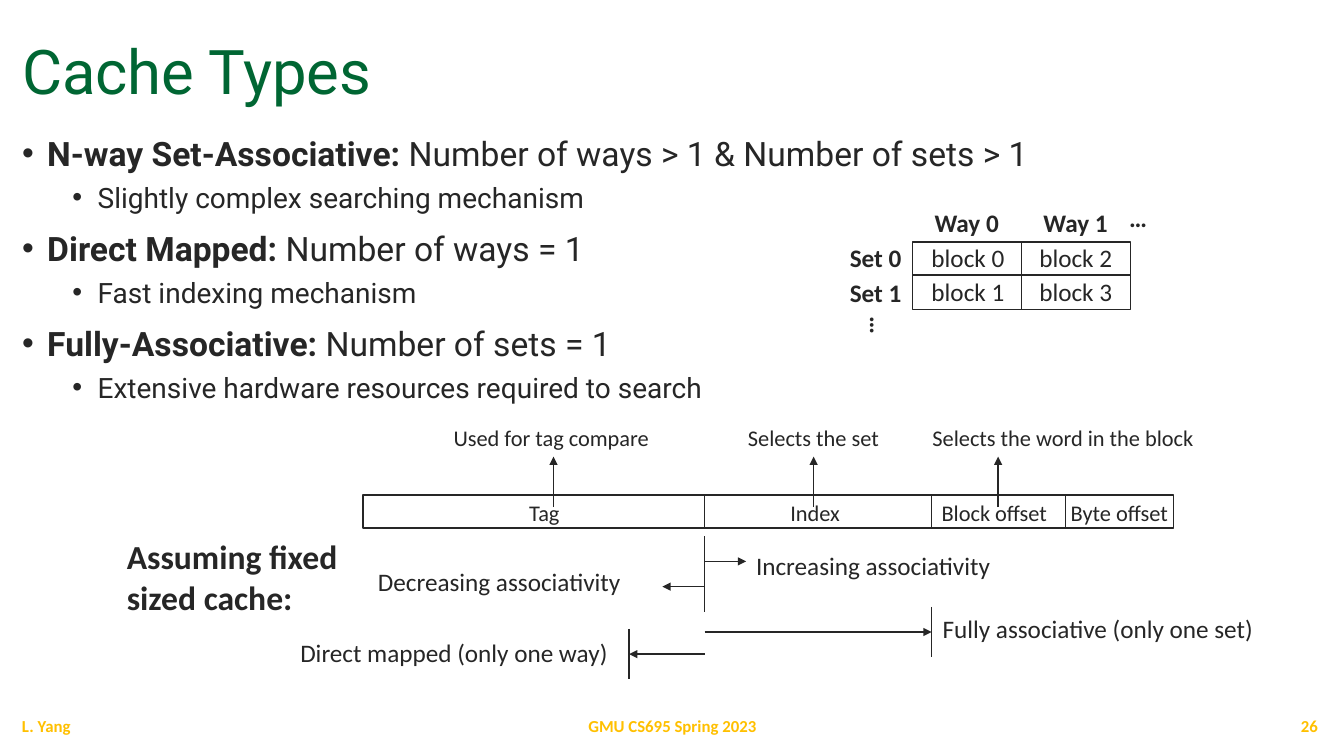
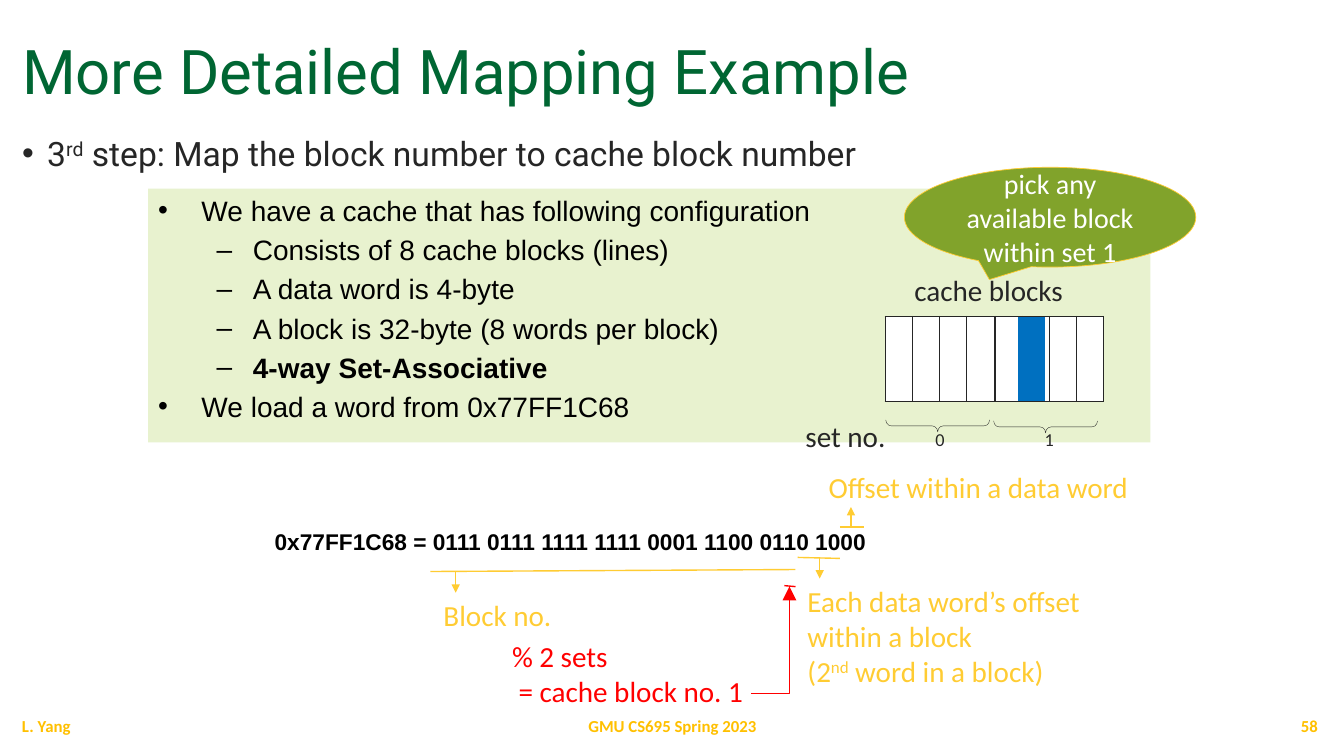
from dataclasses import dataclass, replace

from lxml.etree import SubElement
from pptx import Presentation
from pptx.dml.color import RGBColor
from pptx.enum.shapes import MSO_CONNECTOR, MSO_SHAPE
from pptx.enum.text import MSO_ANCHOR, PP_ALIGN
from pptx.oxml.ns import qn
from pptx.util import Inches, Pt


@dataclass(frozen=True)
class Style:
    font: str
    size: float
    color: str
    bold: bool = False


@dataclass(frozen=True)
class Level:
    style: Style
    bullet: str
    margin: float
    hanging: float
    before: float


@dataclass(frozen=True)
class Theme:
    ink: str = "262626"
    white: str = "FFFFFF"
    gold: str = "FFCC33"
    red: str = "FF0000"
    blue: str = "0070C0"
    olive: str = "81A32B"
    pale_green: str = "E8F2CF"
    title: Style = Style("Roboto", 44, "006633")
    footer: Style = Style("Calibri", 12, "FFC000", True)
    small: Style = Style("Calibri", 16, "262626")
    label: Style = Style("Calibri", 18, "262626")
    strong: Style = Style("Calibri", 18, "262626", True)
    assumption: Style = Style("Calibri", 24, "262626", True)
    note: Style = Style("Calibri", 20.8, "262626")
    callout: Style = Style("Calibri", 20, "FFFFFF")
    set_number: Style = Style("Calibri", 13, "262626")
    address: Style = Style("Arial", 16.13, "000000", True)
    point: Level = Level(Style("Roboto", 24, "262626"), "•", 0.25, 0.25, 10)
    detail: Level = Level(Style("Roboto", 20, "262626"), "•", 0.75, 0.25, 5)
    fact: Level = Level(Style("Arial", 20, "000000"), "•", 0.43, 0.43, 4)
    subfact: Level = Level(Style("Arial", 20, "000000"), "–", 0.94, 0.36, 4)


THEME = Theme()
NO_TABLE_STYLE = "{2D5ABB26-0587-4C30-8999-92F81FD0307C}"


def color(value):
    return RGBColor.from_string(value)


def apply_style(paragraph, style, align=None):
    paragraph.alignment = align
    paragraph.font.name = style.font
    paragraph.font.size = Pt(style.size)
    paragraph.font.bold = style.bold
    paragraph.font.color.rgb = color(style.color)


def add_runs(paragraph, parts):
    for part in [parts] if isinstance(parts, str) else parts:
        text, effect = (part, None) if isinstance(part, str) else part
        run = paragraph.add_run()
        run.text = text
        if effect == "bold":
            run.font.bold = True
        elif effect == "superscript":
            run._r.get_or_add_rPr().set("baseline", "30000")


def add_bullet(paragraph, level):
    properties = paragraph._p.get_or_add_pPr()
    properties.set("marL", str(Inches(level.margin)))
    properties.set("indent", str(-Inches(level.hanging)))
    SubElement(properties, qn("a:buFont")).set("typeface", "Arial")
    SubElement(properties, qn("a:buChar")).set("char", level.bullet)


def next_paragraph(frame, index):
    return frame.add_paragraph() if index else frame.paragraphs[0]


def fill_bullets(frame, items):
    frame.word_wrap = True
    for index, (level, parts) in enumerate(items):
        paragraph = next_paragraph(frame, index)
        add_bullet(paragraph, level)
        if index:
            paragraph.space_before = Pt(level.before)
        apply_style(paragraph, level.style, PP_ALIGN.LEFT)
        add_runs(paragraph, parts)


def add_text(slide, box, lines, style, align=None, anchor=MSO_ANCHOR.TOP, wrap=False):
    shape = slide.shapes.add_textbox(*map(Inches, box))
    frame = shape.text_frame
    frame.word_wrap = wrap
    frame.vertical_anchor = anchor
    for index, parts in enumerate([lines] if isinstance(lines, str) else lines):
        paragraph = next_paragraph(frame, index)
        apply_style(paragraph, style, align)
        add_runs(paragraph, parts)
    return shape


def add_box(slide, box, kind=MSO_SHAPE.RECTANGLE, fill=None, line=None, width=1):
    shape = slide.shapes.add_shape(kind, *map(Inches, box))
    shape.shadow.inherit = False
    if fill:
        shape.fill.solid()
        shape.fill.fore_color.rgb = color(fill)
    else:
        shape.fill.background()
    if line:
        shape.line.color.rgb = color(line)
        shape.line.width = Pt(width)
    else:
        shape.line.fill.background()
    return shape


def add_line(slide, start, end, line=THEME.ink, arrow=False, kind=MSO_CONNECTOR.STRAIGHT):
    connector = slide.shapes.add_connector(kind, *map(Inches, (*start, *end)))
    connector.line.color.rgb = color(line)
    connector.line.width = Pt(1)
    properties = connector._element.spPr
    if arrow:
        SubElement(properties.find(qn("a:ln")), qn("a:tailEnd")).set("type", "triangle")
    SubElement(properties, qn("a:effectLst"))
    return connector


def add_corner_arrow(slide, start, end, line):
    connector = add_line(slide, start, end, line, True, MSO_CONNECTOR.ELBOW)
    properties = connector._element.spPr
    properties.find(qn("a:prstGeom")).set("prst", "bentConnector2")
    head = properties.find(qn("a:ln")).find(qn("a:tailEnd"))
    head.set("w", "lg")
    head.set("len", "lg")


def add_plain_table(slide, left, top, column_width, columns, heights):
    table = slide.shapes.add_table(
        len(heights), columns, Inches(left), Inches(top),
        Inches(column_width * columns), Inches(sum(heights))).table
    table.first_row = table.horz_banding = False
    table._tbl.tblPr.find(qn("a:tableStyleId")).text = NO_TABLE_STYLE
    for column in table.columns:
        column.width = Inches(column_width)
    for row, height in zip(table.rows, heights):
        row.height = Inches(height)
    return table


def add_borders(cell, sides):
    properties = cell._tc.get_or_add_tcPr()
    for side in sides:
        border = SubElement(properties, qn(f"a:ln{side}"), w=str(Pt(1)))
        solid = SubElement(border, qn("a:solidFill"))
        SubElement(solid, qn("a:srgbClr")).set("val", THEME.ink)


def fill_cell(cell, fill):
    cell.fill.solid()
    cell.fill.fore_color.rgb = color(fill)


def start_slide(presentation, title, number, items):
    slide = presentation.slides.add_slide(presentation.slide_layouts[6])
    add_text(slide, (0.12, 0.17, 13.05, 0.95), title, THEME.title,
             anchor=MSO_ANCHOR.BOTTOM, wrap=True).text_frame.paragraphs[0].line_spacing = 0.9
    body = slide.shapes.add_textbox(*map(Inches, (0.12, 1.27, 13.05, 5.63)))
    fill_bullets(body.text_frame, items)
    for left, width, text, align in (
            (0.12, 3, "L. Yang", PP_ALIGN.LEFT),
            (4.42, 4.5, "GMU CS695 Spring 2023", PP_ALIGN.CENTER),
            (10.17, 3, number, PP_ALIGN.RIGHT)):
        add_text(slide, (left, 7, width, 0.4), text, THEME.footer, align, MSO_ANCHOR.MIDDLE, True)
    return slide


def add_way_grid(slide):
    top, middle, width = 2.4, 2.73, 1.08
    for way, (left, block_left) in enumerate(((9.05, 9.14), (10.13, 10.21))):
        add_box(slide, (left, top, width, 0.67), line=THEME.ink)
        add_line(slide, (left, middle), (left + width, middle))
        add_text(slide, (left + 0.12, 2.01, 0.85, 0.4), f"Way {way}", THEME.strong)
        add_text(slide, (8.33, 2.35 + way * 0.35, 0.72, 0.4), f"Set {way}", THEME.strong)
        for row in range(2):
            add_text(slide, (block_left, 2.36 + row * 0.33, 0.95, 0.4),
                     f"block {2 * way + row}", THEME.label)
    add_text(slide, (11.1, 1.96, 0.38, 0.4), "…", THEME.strong)
    add_text(slide, (8.54, 3.03, 0.38, 0.4), "…", THEME.strong).rotation = 90


def add_address_fields(slide):
    top, bottom = 4.91, 5.24
    add_box(slide, (3.6, top, 8.04, bottom - top), line=THEME.ink)
    for divider in (6.99, 9.24, 10.57):
        add_line(slide, (divider, top), (divider, bottom))
    for left, width, text in ((5.15, 0.51, "Tag"), (7.74, 0.7, "Index"),
                              (9.24, 1.27, "Block offset"), (10.52, 1.19, "Byte offset")):
        add_text(slide, (left, 4.9, width, 0.37), text, THEME.small)
    for arrow, left, width, text in ((5.49, 4.4, 2.16, "Used for tag compare"),
                                     (8.07, 7.32, 1.52, "Selects the set"),
                                     (9.9, 9.15, 2.83, "Selects the word in the block")):
        add_line(slide, (arrow, 5.03), (arrow, 4.53), arrow=True)
        add_text(slide, (left, 4.16, width, 0.37), text, THEME.small)


def add_associativity(slide):
    boundary = 6.99
    for x, top, bottom in ((boundary, 5.32, 5.82), (boundary, 5.66, 6.07),
                           (9.24, 6.02, 6.52), (6.24, 6.24, 6.74)):
        add_line(slide, (x, top), (x, bottom))
    for end, y, box, text, wrap in (
            (6.57, 5.82, (3.65, 5.57, 2.64, 0.4), "Decreasing associativity", False),
            (7.4, 5.57, (7.4, 5.41, 2.55, 0.4), "Increasing associativity", False),
            (9.24, 6.27, (9.25, 6.04, 3.39, 0.4), "Fully associative (only one set)", True),
            (6.24, 6.49, (2.88, 6.27, 3.36, 0.4), "Direct mapped (only one way)", True)):
        add_line(slide, (boundary, y), (end, y), arrow=True)
        add_text(slide, box, text, THEME.label, wrap=wrap)


def build_cache_types(presentation):
    slide = start_slide(presentation, "Cache Types", "26", [
        (THEME.point, [("N-way Set-Associative: ", "bold"),
                       "Number of ways > 1 & Number of sets > 1"]),
        (THEME.detail, "Slightly complex searching mechanism"),
        (THEME.point, [("Direct Mapped: ", "bold"), "Number of ways = 1"]),
        (THEME.detail, "Fast indexing mechanism"),
        (THEME.point, [("Fully-Associative: ", "bold"), "Number of sets = 1"]),
        (THEME.detail, "Extensive hardware resources required to search")])
    add_address_fields(slide)
    add_associativity(slide)
    add_text(slide, (1.16, 5.27, 2.41, 0.91), "Assuming fixed sized cache:",
             THEME.assumption, wrap=True)
    add_way_grid(slide)


def add_cache_blocks(slide):
    top, height = 3.14, 0.84
    table = add_plain_table(slide, 8.78, top, 0.27, 8, [height, 0.54])
    for block in range(8):
        cell = table.cell(0, block)
        add_borders(cell, "LRTB")
        fill_cell(cell, THEME.white)
    for number, brace_left in enumerate((9.24, 10.31)):
        cell = table.cell(1, 4 * number)
        cell.merge(table.cell(1, 4 * number + 3))
        add_borders(cell, "T")
        cell.fill.background()
        cell.margin_left = cell.margin_right = Inches(0.12)
        cell.margin_top, cell.margin_bottom = Inches(0.28), 0
        paragraph = cell.text_frame.paragraphs[0]
        apply_style(paragraph, THEME.set_number, PP_ALIGN.CENTER)
        add_runs(paragraph, str(number))
        brace = add_box(slide, (brace_left, 3.71 + number * 0.01, 0.12, 1.03),
                        MSO_SHAPE.RIGHT_BRACE, line=THEME.ink, width=0.25)
        brace.adjustments[0] = 0.458
        brace.rotation = 90
    add_text(slide, (8.97, 2.65, 1.69, 0.45), "cache blocks", THEME.note)
    add_text(slide, (7.89, 4.1, 1.01, 0.45), "set no.", THEME.note)
    chosen_block = add_plain_table(slide, 10.1, top, 0.26, 1, [height])
    fill_cell(chosen_block.cell(0, 0), THEME.blue)
    callout = add_box(slide, (8.97, 1.66, 2.89, 0.99), MSO_SHAPE.OVAL_CALLOUT,
                      THEME.olive, THEME.gold, 0.5)
    frame = callout.text_frame
    frame.word_wrap = True
    frame.vertical_anchor = MSO_ANCHOR.MIDDLE
    apply_style(frame.paragraphs[0], THEME.callout, PP_ALIGN.CENTER)
    add_runs(frame.paragraphs[0], "pick any available block within set 1")


def add_address_split(slide):
    gold_note = replace(THEME.note, color=THEME.gold)
    for start, end, arrow, tip, box, lines, wrap in (
            ((8.33, 5.23), (8.57, 5.23), 8.44, 5.03,
             (8.12, 4.61, 3.36, 0.45), "Offset within a data word", True),
            ((7.91, 5.53), (8.33, 5.54), 8.13, 5.74, (7.91, 5.74, 3.01, 1.15),
             ["Each data word’s offset", "within a block",
              ["(2", ("nd", "superscript"), " word in a block)"]], False),
            ((4.27, 5.67), (7.89, 5.65), 4.52, 5.88,
             (4.3, 5.88, 1.28, 0.45), "Block no.", False)):
        add_line(slide, start, end, THEME.gold)
        add_line(slide, (arrow, start[1]), (arrow, tip), THEME.gold, True)
        add_text(slide, box, lines, gold_note, wrap=wrap)
    add_text(slide, (4.98, 6.28, 2.52, 0.8), ["% 2 sets", " = cache block no. 1"],
             replace(THEME.note, color=THEME.red))
    add_line(slide, (7.78, 5.81), (7.89, 5.82), THEME.red)
    add_corner_arrow(slide, (7.45, 6.88), (7.83, 5.82), THEME.red)


def build_mapping_example(presentation):
    slide = start_slide(presentation, "More Detailed Mapping Example", "58", [
        (THEME.point, ["3", ("rd", "superscript"),
                       " step: Map the block number to cache block number"])])
    add_text(slide, (2.53, 5.19, 6.25, 0.37),
             "0x77FF1C68 = 0111 0111 1111 1111 0001 1100 0110 1000",
             THEME.address, PP_ALIGN.CENTER, wrap=True)
    panel = add_box(slide, (1.47, 1.87, 9.94, 2.52), fill=THEME.pale_green)
    panel.text_frame.vertical_anchor = MSO_ANCHOR.TOP
    fill_bullets(panel.text_frame, [
        (THEME.fact, "We have a cache that has following configuration"),
        (THEME.subfact, "Consists of 8 cache blocks (lines)"),
        (THEME.subfact, "A data word is 4-byte"),
        (THEME.subfact, "A block is 32-byte (8 words per block)"),
        (THEME.subfact, [("4-way Set-Associative", "bold")]),
        (THEME.fact, "We load a word from 0x77FF1C68")])
    add_address_split(slide)
    add_cache_blocks(slide)


def main():
    presentation = Presentation()
    presentation.slide_width = Inches(13.33)
    presentation.slide_height = Inches(7.5)
    build_cache_types(presentation)
    build_mapping_example(presentation)
    presentation.save("out.pptx")


if __name__ == "__main__":
    main()
